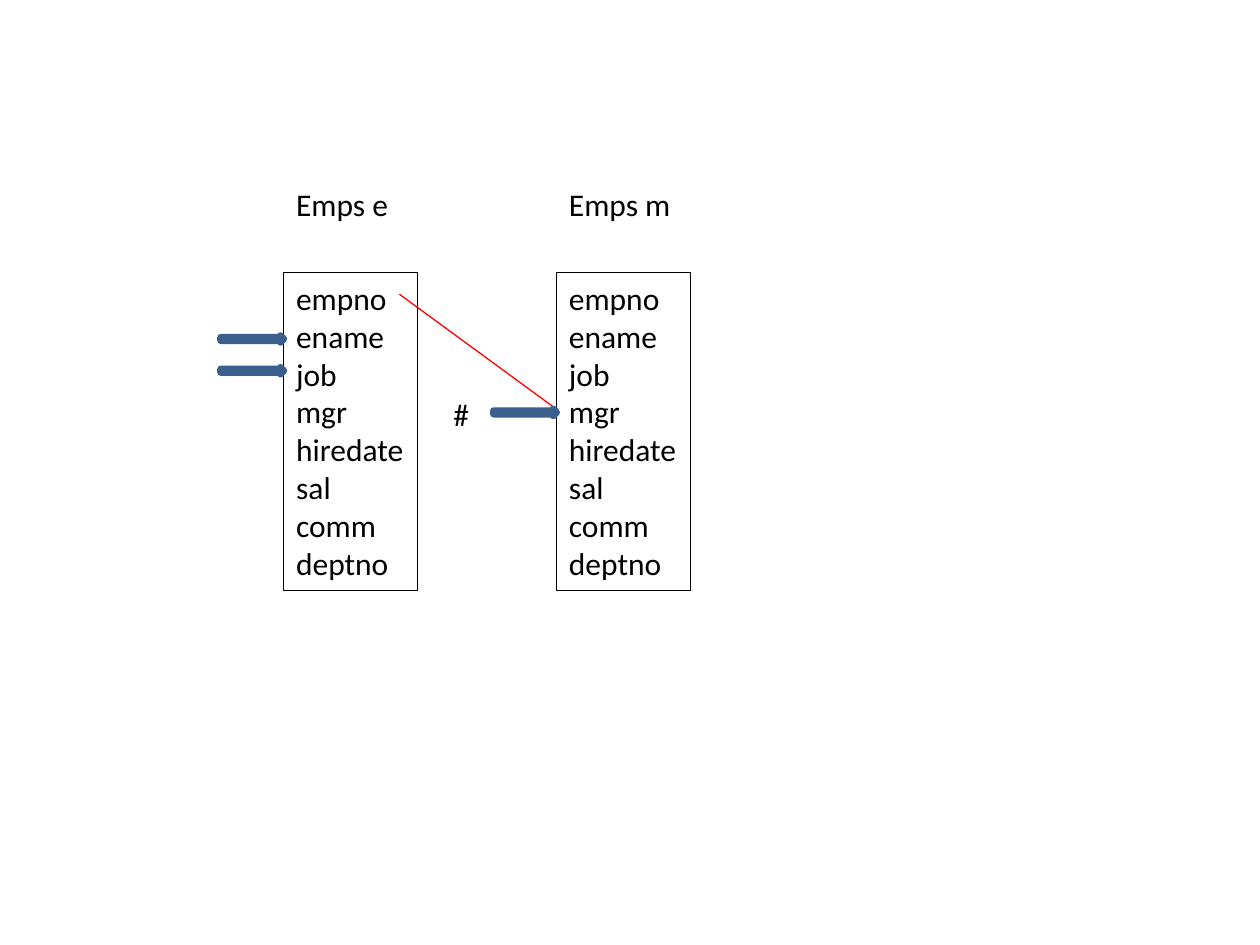
from pptx import Presentation
from pptx.dml.color import RGBColor
from pptx.enum.shapes import MSO_CONNECTOR, MSO_SHAPE
from pptx.enum.text import MSO_ANCHOR, MSO_AUTO_SIZE, PP_ALIGN
from pptx.oxml.ns import qn
from pptx.util import Cm, Pt
from lxml import etree

LINE = MSO_CONNECTOR.STRAIGHT
RECT = MSO_SHAPE.RECTANGLE
ARROW = MSO_SHAPE.RIGHT_ARROW
TOP = MSO_ANCHOR.TOP
LEFT = PP_ALIGN.LEFT
FIT = MSO_AUTO_SIZE.SHAPE_TO_FIT_TEXT

COLORS = {"ink": "000000", "join": "FF0000", "mark": "3A5F8C"}
FIELDS = ["empno", "ename", "job", "mgr", "hiredate", "sal", "comm", "deptno"]


class Board:
    font = {"name": "Calibri", "size": Pt(18)}
    form = {"word_wrap": False, "auto_size": FIT, "vertical_anchor": TOP}

    def __init__(self, slide):
        self.slide = slide

    def color(self, name):
        return RGBColor.from_string(COLORS[name])

    def stroke(self, line, name, width):
        line.color.rgb = self.color(name)
        line.width = Pt(width)

    def fill_text(self, shape, rows):
        frame = shape.text_frame
        frame.text = "\n".join(rows)
        for key, value in self.form.items():
            setattr(frame, key, value)
        for para in frame.paragraphs:
            para.alignment = LEFT
            for key, value in self.font.items():
                setattr(para.font, key, value)
            para.font.color.rgb = self.color("ink")

    def label(self, text, *area):
        box = self.slide.shapes.add_textbox(*map(Cm, area))
        self.fill_text(box, [text])

    def shape(self, kind, color, width, *area):
        item = self.slide.shapes.add_shape(kind, *map(Cm, area))
        item.shadow.inherit = False
        item.fill.background()
        self.stroke(item.line, color, width)
        return item

    def table(self, rows, *area):
        self.fill_text(self.shape(RECT, "ink", 0.75, *area), rows)

    def arrow(self, left, top):
        self.shape(ARROW, "mark", 4, left, top, 1.27, 0.13)

    def link(self, *ends):
        line = self.slide.shapes.add_connector(LINE, *map(Cm, ends))
        self.stroke(line.line, "join", 0.75)
        props = line._element.find(qn("p:spPr"))
        etree.SubElement(props, qn("a:effectLst"))


deck = Presentation()
deck.slide_width, deck.slide_height = Cm(25.4), Cm(19.05)
board = Board(deck.slides.add_slide(deck.slide_layouts[6]))

for name, left, width in [("Emps e", 5.72, 2.39), ("Emps m", 11.22, 2.59)]:
    board.table(FIELDS, left, 5.5, 2.7, 6.41)
    board.label(name, left, 3.6, width, 1.03)

board.link(8.05, 5.93, 11.22, 8.25)
for left, top in [(4.45, 6.77), (4.45, 7.41), (9.95, 8.25)]:
    board.arrow(left, top)
board.label("#", 8.89, 7.83, 0.85, 1.03)

deck.save("out.pptx")
